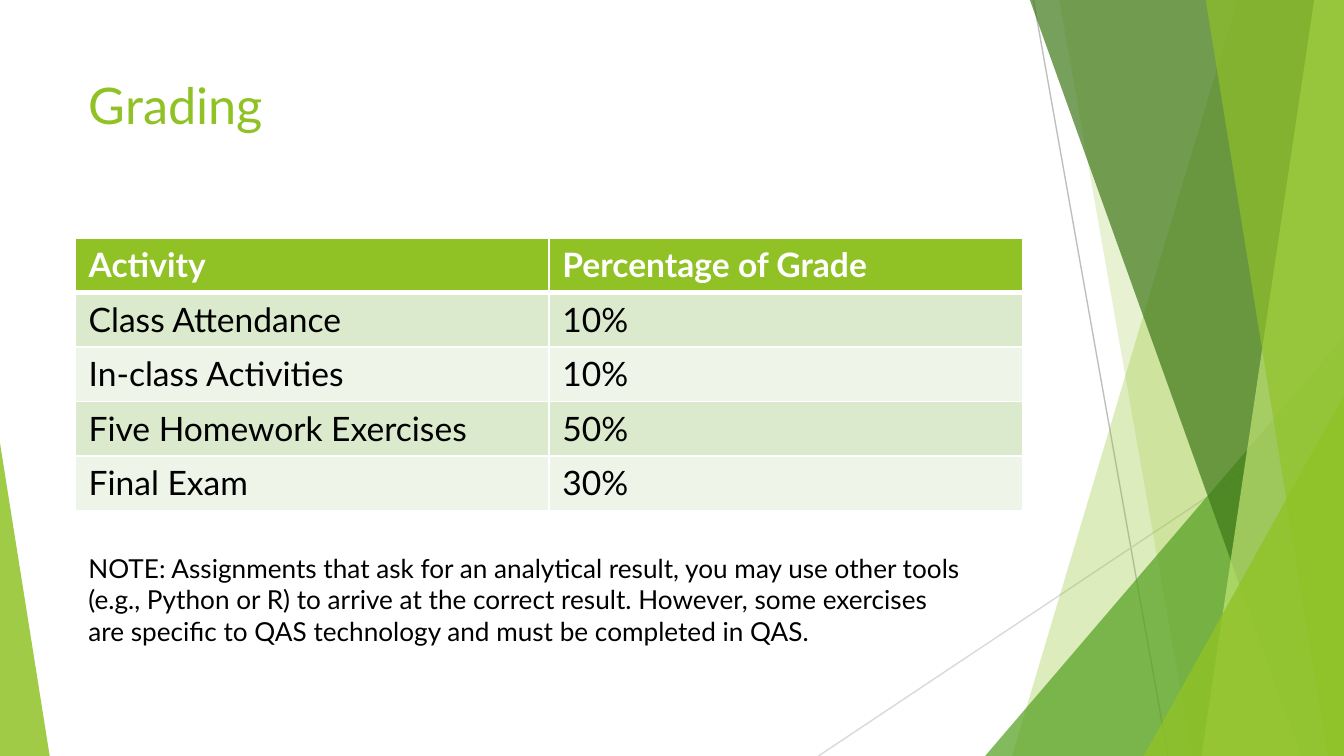
from lxml import etree
from pptx import Presentation
from pptx.dml.color import RGBColor
from pptx.enum.shapes import MSO_CONNECTOR, MSO_SHAPE
from pptx.enum.text import MSO_ANCHOR, PP_ALIGN
from pptx.oxml.ns import qn
from pptx.util import Inches, Pt

STRAIGHT = MSO_CONNECTOR.STRAIGHT
TRIANGLE = MSO_SHAPE.ISOSCELES_TRIANGLE
TOP = MSO_ANCHOR.TOP
LEFT = PP_ALIGN.LEFT
WIDTH = 10
HEIGHT = WIDTH * 9 / 16
FONT = "Lato"
COLORS = {
    "lime": "90C226",
    "green": "54A021",
    "forest": "3F7819",
    "pale": "C0E474",
    "band_dark": "DBE9CD",
    "band_light": "EEF4E8",
    "line_dark": "BFBFBF",
    "line_light": "D9D9D9",
    "white": "FFFFFF",
    "black": "000000",
}


def write_text(frame, text, size, color="black", bold=False):
    frame.word_wrap = True
    frame.vertical_anchor = TOP
    paragraph = frame.paragraphs[0]
    paragraph.alignment = LEFT
    run = paragraph.add_run()
    run.text = text
    run.font.name = FONT
    run.font.size = Pt(size)
    run.font.bold = bold
    run.font.color.rgb = RGBColor.from_string(COLORS[color])


def paint(shape, color, opacity):
    shape.shadow.inherit = False
    shape.line.fill.background()
    shape.fill.solid()
    shape.fill.fore_color.rgb = RGBColor.from_string(COLORS[color])
    color_element = shape._element.spPr.find(qn("a:solidFill"))[0]
    etree.SubElement(color_element, qn("a:alpha"), val=str(opacity * 1000))


presentation = Presentation()
presentation.slide_width = Inches(WIDTH)
presentation.slide_height = Inches(HEIGHT)
slide = presentation.slides.add_slide(presentation.slide_layouts[5])
shapes = slide.shapes

lines = [
    (7.69, 0, 8.69, HEIGHT, "line_dark"),
    (WIDTH, 3.02, 6.09, HEIGHT, "line_light"),
]
for start_x, start_y, end_x, end_y, color in lines:
    line = shapes.add_connector(
        STRAIGHT, Inches(start_x), Inches(start_y), Inches(end_x), Inches(end_y)
    )
    line.line.color.rgb = RGBColor.from_string(COLORS[color])
    line.line.width = Pt(0.75)
    etree.SubElement(line._element.spPr, qn("a:effectLst"))

facets = [
    ("band", 9.21, 7.53, "lime", 30),
    ("band", 7.88, 8.87, "lime", 20),
    ("right corner", 2.67, 3.12, "green", 72),
    ("band", 7.66, 9.68, "forest", 70),
    ("band", 9.78, 8.94, "pale", 70),
    ("band", 8.97, 9.88, "lime", 65),
    ("right corner", 1.49, 2.68, "lime", 80),
    ("left corner", 0.37, 2.33, "lime", 85),
]
for kind, first, second, color, opacity in facets:
    if kind == "band":
        builder = shapes.build_freeform(Inches(first), Inches(-0.01))
        corners = [(WIDTH, -0.01), (WIDTH, HEIGHT), (second, HEIGHT)]
        builder.add_line_segments([(Inches(x), Inches(y)) for x, y in corners])
        facet = builder.convert_to_shape()
    else:
        on_right = kind == "right corner"
        left = WIDTH - first if on_right else 0
        facet = shapes.add_shape(
            TRIANGLE, Inches(left), Inches(HEIGHT - second), Inches(first), Inches(second)
        )
        facet.adjustments[0] = 1 if on_right else 0
    paint(facet, color, opacity)

title = shapes.title
title.left, title.top = Inches(0.56), Inches(0.5)
title.width, title.height = Inches(7.05), Inches(1.08)
write_text(title.text_frame, "Grading", size=27, color="lime")

grades = [
    ("Activity", "Percentage of Grade"),
    ("Class Attendance", "10%"),
    ("In-class Activities", "10%"),
    ("Five Homework Exercises", "50%"),
    ("Final Exam", "30%"),
]
table = shapes.add_table(
    len(grades), 2, Inches(0.56), Inches(1.77), Inches(7.05), Inches(2.03)
).table
for row_index, row in enumerate(grades):
    header = row_index == 0
    band = "lime" if header else ("band_light", "band_dark")[row_index % 2]
    for column_index, text in enumerate(row):
        cell = table.cell(row_index, column_index)
        cell.fill.solid()
        cell.fill.fore_color.rgb = RGBColor.from_string(COLORS[band])
        write_text(
            cell.text_frame, text, size=18, color="white" if header else "black", bold=header
        )
        properties = cell._tc.get_or_add_tcPr()
        for position, side in enumerate(("lnL", "lnR", "lnT", "lnB")):
            thick = (header and side == "lnB") or (row_index == 1 and side == "lnT")
            border = etree.Element(qn(f"a:{side}"), w=str(Pt(3 if thick else 1)))
            border_fill = etree.SubElement(border, qn("a:solidFill"))
            etree.SubElement(border_fill, qn("a:srgbClr"), val=COLORS["white"])
            properties.insert(position, border)

note = shapes.add_textbox(Inches(0.56), Inches(4.06), Inches(6.74), Inches(0.81))
write_text(
    note.text_frame,
    "NOTE: Assignments that ask for an analytical result, you may use other tools "
    "(e.g., Python or R) to arrive at the correct result. However, some exercises "
    "are specific to QAS technology and must be completed in QAS.",
    size=14,
)

presentation.save("out.pptx")
